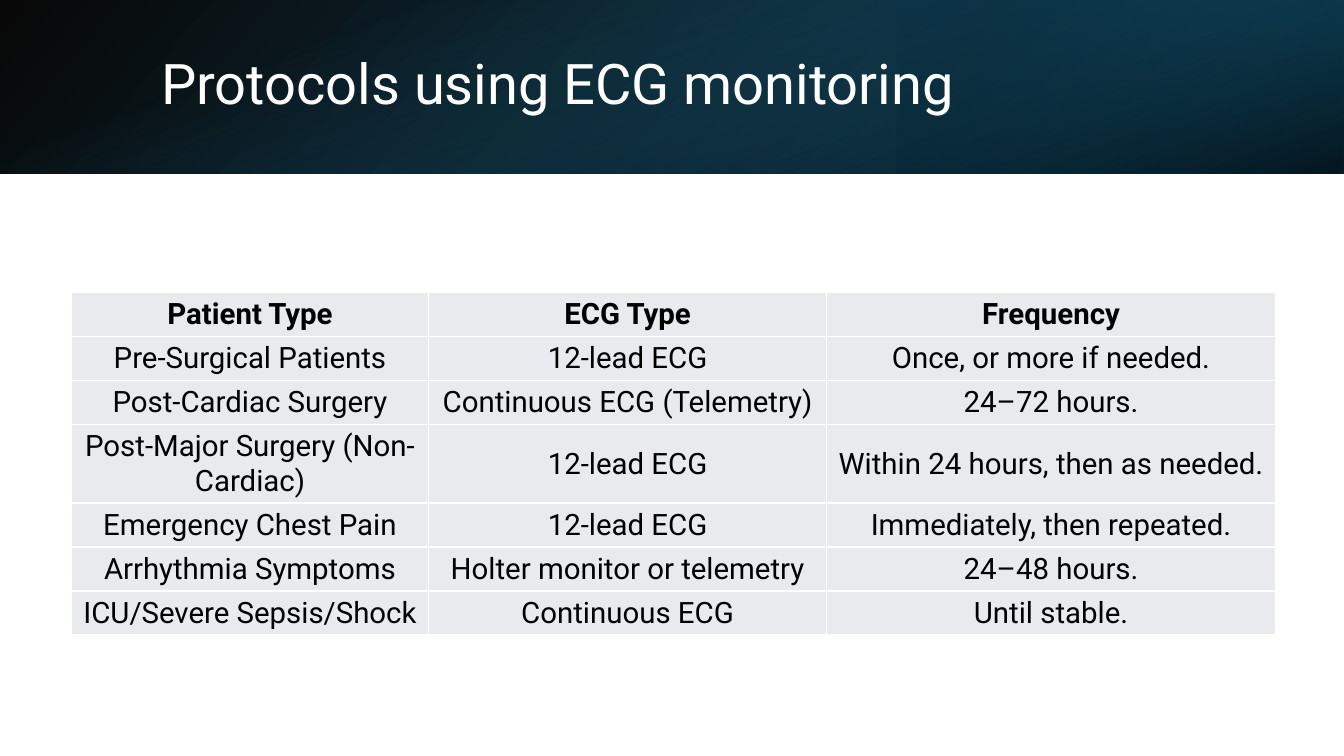
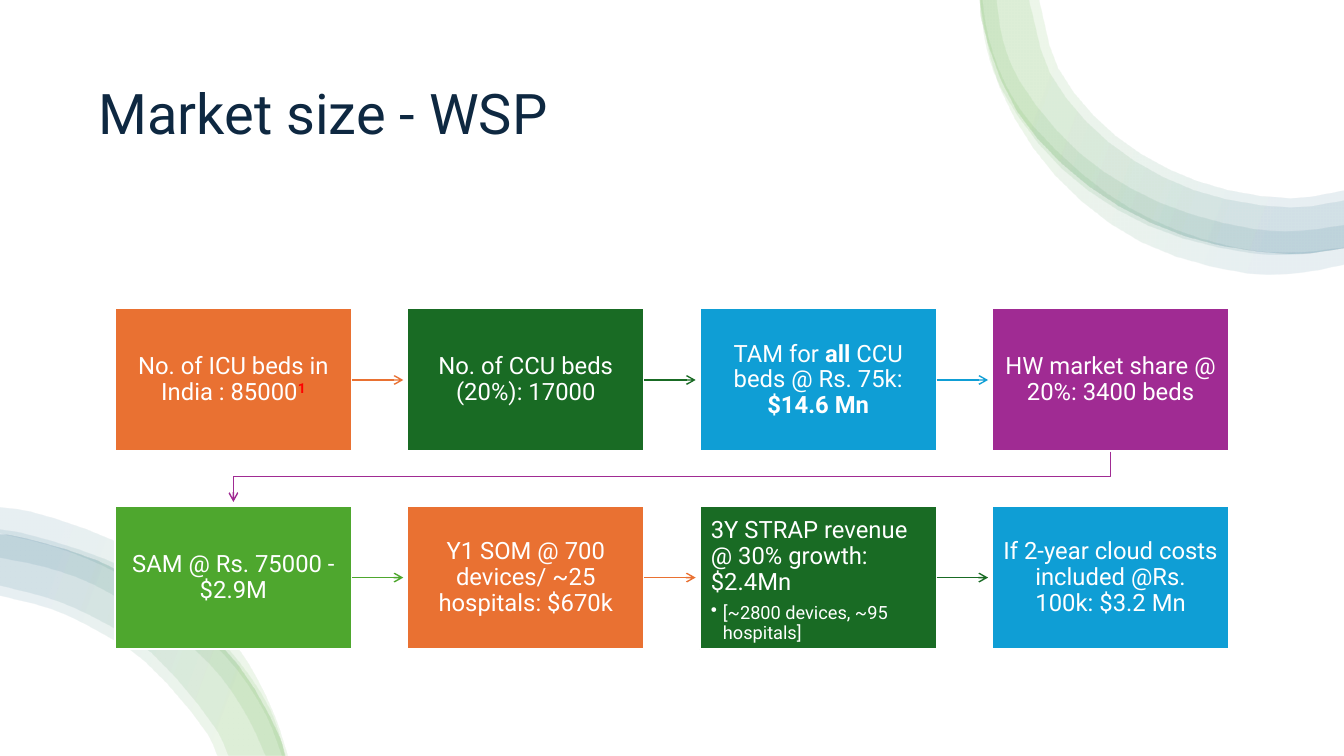
from dataclasses import dataclass
from math import dist

from lxml.etree import SubElement as Sub
from pptx import Presentation
from pptx.dml.color import RGBColor as Rgb
from pptx.enum.shapes import MSO_CONNECTOR as Conn, MSO_SHAPE as Shape
from pptx.enum.text import MSO_ANCHOR as Anchor, PP_ALIGN as Align
from pptx.oxml.ns import qn
from pptx.util import Inches, Pt


@dataclass(frozen=True)
class Theme:
    font: str = "Roboto"
    white: str = "FFFFFF"
    black: str = "000000"
    navy: str = "0E2841"
    cell: str = "E8EAED"
    red: str = "FF0000"
    orange: str = "E97132"
    forest: str = "196B24"
    sky: str = "0F9ED5"
    plum: str = "A02B93"
    green: str = "4EA72E"
    teal: str = "156082"
    head: float = 40
    grid: float = 21
    body: float = 17
    small: float = 13


T = Theme()
WIDE, HIGH = 13.33, 7.5
BAND = 1.72

# left, width, angle, stops of (position, colour, opacity)
BANDS = [
    (0, WIDE, 40, [(0, T.black, 96), (100, "104862", 96)]),
    (8.89, 4.44, 40, [(19, "0B3041", 68), (100, T.teal, 79)]),
    (0, WIDE, 70, [(23, T.teal, 0), (99, T.black, 74)]),
]

COLS = [3.54, 3.95, 4.45]
TABLE, TALL = 3.4, 0.78
ROWS = [
    ("Patient Type", "ECG Type", "Frequency"),
    ("Pre-Surgical Patients", "12-lead ECG", "Once, or more if needed."),
    ("Post-Cardiac Surgery", "Continuous ECG (Telemetry)", "24–72 hours."),
    ("Post-Major Surgery (Non-Cardiac)", "12-lead ECG",
     "Within 24 hours, then as needed."),
    ("Emergency Chest Pain", "12-lead ECG", "Immediately, then repeated."),
    ("Arrhythmia Symptoms", "Holter monitor or telemetry", "24–48 hours."),
    ("ICU/Severe Sepsis/Shock", "Continuous ECG", "Until stable."),
]

BOLD = {"bold": True}
HARD = chr(160)  # a space that does not break
STEPS = [
    (T.orange, ["No. of ICU beds in India : 85000",
                ("1", {"bold": True, "color": T.red, "base": 30})]),
    (T.forest, ["No. of CCU beds (20%): 17000"]),
    (T.sky, ["TAM for ", ("all", BOLD), " CCU beds @ Rs. 75k: ",
             ("$14.6 Mn", BOLD)]),
    (T.plum, ["HW market share @ 20%: 3400 beds"]),
    (T.green, ["SAM @ Rs. 75000 - $2.9M"]),
    (T.orange, ["Y1 SOM @ 700 devices/ ~25 hospitals: $670k"]),
    (T.forest, ["3Y STRAP revenue @ 30% growth: $2.4Mn"]),
    (T.sky, [f"If 2-year cloud costs included @Rs. 100k:{HARD}$3.2 Mn"]),
]
NOTES = {6: "[~2800 devices, ~95 hospitals]"}

# Each ring lies between two curves, given by the points they pass through.
TOP = [(9.73, 0), (9.74, 0.2), (10.09, 1.1), (10.8, 1.84), (11.74, 2.33),
       (12.79, 2.51), (13.33, 2.45)]
LOW = [(2.82, 7.5), (2.76, 7.3), (2.35, 6.59), (1.73, 6), (0.96, 5.56),
       (0.11, 5.31), (0, 5.3)]
RINGS = [
    (20, [
        (TOP, [(13.33, 1.88), (12.79, 1.96), (11.87, 1.79), (11.06, 1.34),
               (10.5, 0.68), (10.31, 0)]),
        (TOP, [(13.33, 1.98), (12.79, 2.05), (11.84, 1.88), (11, 1.41),
               (10.42, 0.73), (10.21, 0)]),
        ([(9.73, 0), (9.78, 0.43), (9.94, 0.89), (10.54, 1.68), (11.39, 2.24),
          (12.39, 2.51), (12.91, 2.52), (13.33, 2.46)],
         [(13.33, 2.23), (12.89, 2.29), (12.42, 2.27), (11.5, 2.01),
          (10.71, 1.52), (10.12, 0.81), (9.95, 0.39), (9.89, 0)]),
        ([(9.71, 0), (9.91, 0.87), (10.46, 1.74), (11.31, 2.4), (12.36, 2.71),
          (12.92, 2.7), (13.33, 2.62)],
         [(13.33, 2.45), (12.9, 2.5), (12.39, 2.48), (11.66, 2.28),
          (10.99, 1.93), (10.25, 1.26), (9.97, 0.84), (9.8, 0.37),
          (9.74, 0)]),
    ]),
    (200, [
        ([(2.85, 7.5), (2.71, 7.08), (2.45, 6.57), (2.1, 6.11), (1.66, 5.7),
          (1.15, 5.38), (0.29, 5.08), (0, 5.04)],
         [(0, 5.3), (0.5, 5.42), (1.02, 5.62), (1.51, 5.9), (1.95, 6.24),
          (2.34, 6.64), (2.64, 7.11), (2.79, 7.5)]),
        (LOW, [(0, 5.91), (0.53, 6.05), (1, 6.28), (1.43, 6.56), (2.05, 7.28),
               (2.15, 7.5)]),
        ([(2.83, 7.5), (2.68, 7.05), (2.37, 6.57), (2, 6.18), (1.56, 5.83),
          (1.06, 5.56), (0.24, 5.3), (0, 5.26)],
         [(0, 5.54), (0.44, 5.63), (0.94, 5.81), (1.82, 6.36), (2.19, 6.72),
          (2.47, 7.15), (2.63, 7.5)]),
        (LOW, [(0, 5.81), (0.56, 5.96), (1.05, 6.19), (1.5, 6.48),
               (2.14, 7.24), (2.26, 7.5)]),
    ]),
]
SHEEN = [(0, T.green, 10), (16, T.green, 10), (85, T.teal, 10),
         (100, T.teal, 10)]


def write(frame, runs, size, color=T.white, bold=False, align=Align.LEFT,
          lines=0.9, after=0, bullet=False, more=False):
    """Put runs in the first paragraph, or in a new one if more is set."""
    para = frame.add_paragraph() if more else frame.paragraphs[0]
    if bullet:
        props = para._p.get_or_add_pPr()
        props.set("marL", str(Inches(0.12)))
        props.set("indent", str(-Inches(0.12)))
        Sub(props, qn("a:buChar")).set("char", "•")
    para.alignment, para.line_spacing = align, lines
    para.space_before, para.space_after = Pt(0), Pt(after)
    for item in runs:
        words, look = (item, {}) if isinstance(item, str) else item
        run = para.add_run()
        run.text = words
        run.font.name, run.font.size = T.font, Pt(size)
        run.font.bold = look.get("bold", bold)
        run.font.color.rgb = Rgb.from_string(look.get("color", color))
        if "base" in look:
            run.font._element.set("baseline", str(look["base"] * 1000))


def title(slide, text, left, top, width, height, color):
    box = slide.shapes.add_textbox(*map(Inches, (left, top, width, height)))
    frame = box.text_frame
    frame.word_wrap, frame.vertical_anchor = True, Anchor.MIDDLE
    write(frame, [text], T.head, color=color)


def rect(slide, left, top, width, height, color=None):
    shape = slide.shapes.add_shape(
        Shape.RECTANGLE, *map(Inches, (left, top, width, height)))
    shape.shadow.inherit = False
    shape.line.fill.background()
    if color:
        shape.fill.solid()
        shape.fill.fore_color.rgb = Rgb.from_string(color)
    return shape


def shade(shape, stops, angle):
    """Fill with a see-through linear gradient and drop the outline."""
    shape.line.fill.background()
    shape.fill.gradient()
    grad = shape._element.spPr.find(qn("a:gradFill"))
    for part in list(grad):
        grad.remove(part)
    items = Sub(grad, qn("a:gsLst"))
    for pos, color, alpha in stops:
        stop = Sub(items, qn("a:gs"), pos=str(pos * 1000))
        tone = Sub(stop, qn("a:srgbClr"), val=color)
        Sub(tone, qn("a:alpha"), val=str(alpha * 1000))
    Sub(grad, qn("a:lin"), ang=str(angle * 60000), scaled="0")


def smooth(knots, parts=3):
    """Points of a centripetal Catmull-Rom curve through the knots."""
    def beyond(p, q):
        return tuple(2 * u - v for u, v in zip(p, q))

    ends = [beyond(*knots[:2]), *knots, beyond(knots[-1], knots[-2])]
    points = [knots[0]]
    for quad in zip(ends, ends[1:], ends[2:], ends[3:]):
        times = [0]
        for p, q in zip(quad, quad[1:]):
            times.append(times[-1] + dist(p, q) ** 0.5)
        for step in range(1, parts + 1):
            t = times[1] + (times[2] - times[1]) * step / parts

            def mix(p, q, i, j):
                f = (t - times[i]) / (times[j] - times[i])
                return tuple(u + (v - u) * f for u, v in zip(p, q))

            a, b, c = (mix(quad[i], quad[i + 1], i, i + 1) for i in range(3))
            points.append(mix(mix(a, b, 0, 2), mix(b, c, 1, 3), 1, 2))
    return points


def ring(slide, outer, inner, angle):
    points = [(Inches(x), Inches(y)) for x, y in smooth(outer) + smooth(inner)]
    path = slide.shapes.build_freeform(*points[0])
    path.add_line_segments(points[1:], close=True)
    shape = path.convert_to_shape()
    shape.shadow.inherit = False
    shade(shape, SHEEN, angle)


def arrow(slide, kind, start, end, color):
    link = slide.shapes.add_connector(kind, *map(Inches, start + end))
    link.line.width = Pt(1)
    link.line.color.rgb = Rgb.from_string(color)
    Sub(link.line._get_or_add_ln(), qn("a:tailEnd"), type="arrow")
    Sub(link._element.spPr, qn("a:effectLst"))
    return link


def edge(cell):
    props = cell._tc.get_or_add_tcPr()
    for index, side in enumerate(("a:lnL", "a:lnR", "a:lnT", "a:lnB")):
        line = Sub(props, qn(side), w=str(Pt(1)))
        Sub(Sub(line, qn("a:solidFill")), qn("a:srgbClr"), val=T.white)
        props.insert(index, line)


def protocols(slide):
    for left, width, angle, stops in BANDS:
        shade(rect(slide, left, 0, width, BAND), stops, angle)
    title(slide, "Protocols using ECG monitoring", 1.5, 0.38, 10.98, 0.96,
          T.white)
    table = slide.shapes.add_table(
        len(ROWS), len(COLS),
        *map(Inches, (0.71, 2.9, sum(COLS), TABLE))).table
    for col, width in zip(table.columns, COLS):
        col.width = Inches(width)
    short = (TABLE - TALL) / (len(ROWS) - 1)
    for r, row in enumerate(ROWS):
        table.rows[r].height = Inches(TALL if r == 3 else short)
        for c, text in enumerate(row):
            cell = table.cell(r, c)
            cell.fill.solid()
            cell.fill.fore_color.rgb = Rgb.from_string(T.cell)
            cell.vertical_anchor = Anchor.MIDDLE
            cell.margin_left = cell.margin_right = Inches(0.01)
            cell.margin_top, cell.margin_bottom = Inches(0.01), 0
            edge(cell)
            write(cell.text_frame, [text], T.grid, color=T.black,
                  bold=r == 0, align=Align.CENTER, lines=1)


def market(slide):
    rect(slide, 0, 0, WIDE, HIGH, T.white)
    for angle, bands in RINGS:
        for outer, inner in bands:
            ring(slide, outer, inner, angle)
    title(slide, "Market size - WSP", 0.88, 0.5, 11.57, 1.3, T.navy)
    left, top, wide, high = 1.14, 3.06, 2.35, 1.42
    across, down, gap, per = 2.9, 1.96, 0.04, 4
    for i, (color, runs) in enumerate(STEPS):
        x, y = left + i % per * across, top + i // per * down
        box = rect(slide, x, y, wide, high, color)
        box.line.color.rgb = Rgb.from_string(T.white)
        box.line.width = Pt(1.5)
        frame = box.text_frame
        frame.word_wrap = True
        frame.margin_left = frame.margin_right = Inches(0.11)
        frame.margin_top = frame.margin_bottom = Inches(0.12)
        note = NOTES.get(i)
        frame.vertical_anchor = Anchor.TOP if note else Anchor.MIDDLE
        write(frame, runs, T.body, after=6 if note else 0,
              align=Align.LEFT if note else Align.CENTER)
        if note:
            write(frame, [note], T.small, bullet=True, more=True)
        if i % per < per - 1:
            mid = y + high / 2
            link = arrow(slide, Conn.STRAIGHT, (x + wide, mid),
                         (x + across - gap, mid), color)
            link.begin_connect(box, 3)
        elif i + 1 < len(STEPS):
            # A quarter turn makes the elbow leave and arrive vertically.
            drop, span = down - high - gap, (per - 1) * across
            cx, cy = left + (wide + span) / 2, y + high + drop / 2
            link = arrow(slide, Conn.ELBOW, (cx - drop / 2, cy - span / 2),
                         (cx + drop / 2, cy + span / 2), color)
            link._element.spPr.xfrm.set("rot", str(90 * 60000))


def main():
    deck = Presentation()
    deck.slide_width, deck.slide_height = Inches(WIDE), Inches(HIGH)
    for build in (protocols, market):
        build(deck.slides.add_slide(deck.slide_layouts[6]))
    deck.save("out.pptx")


if __name__ == "__main__":
    main()
